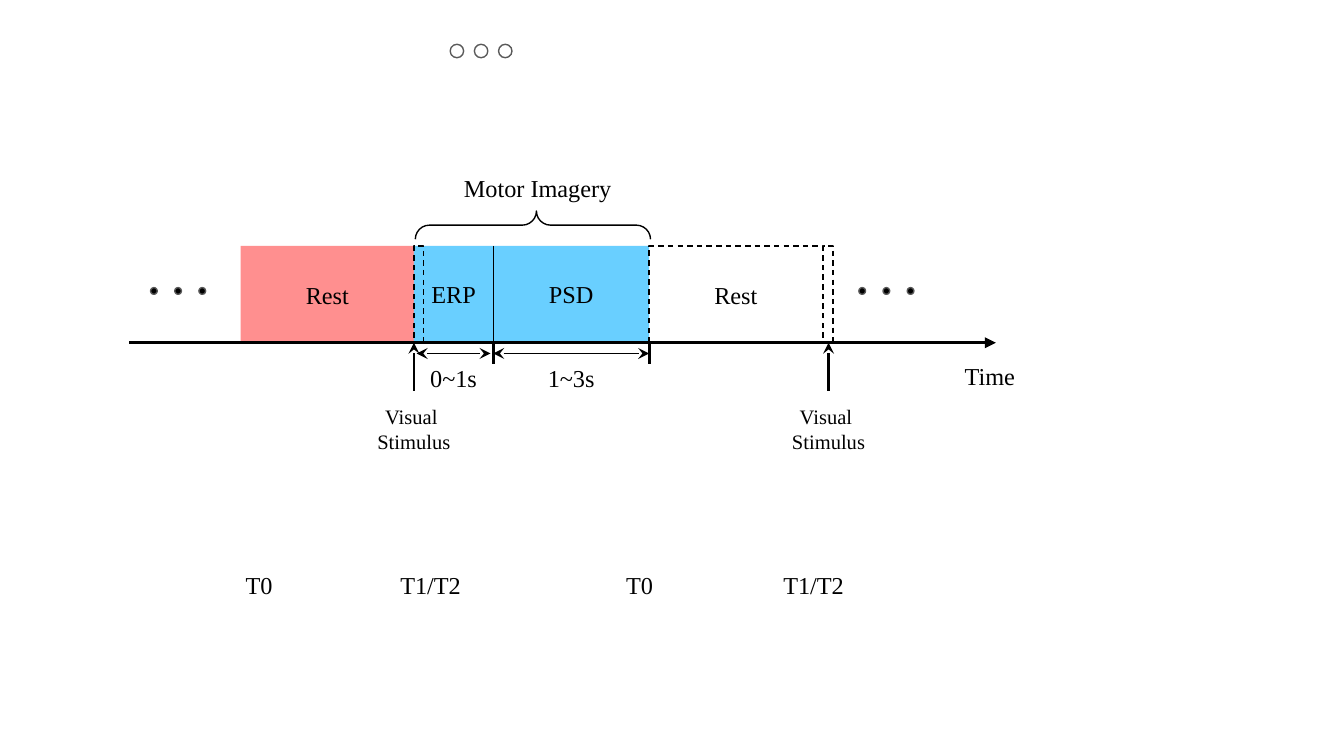
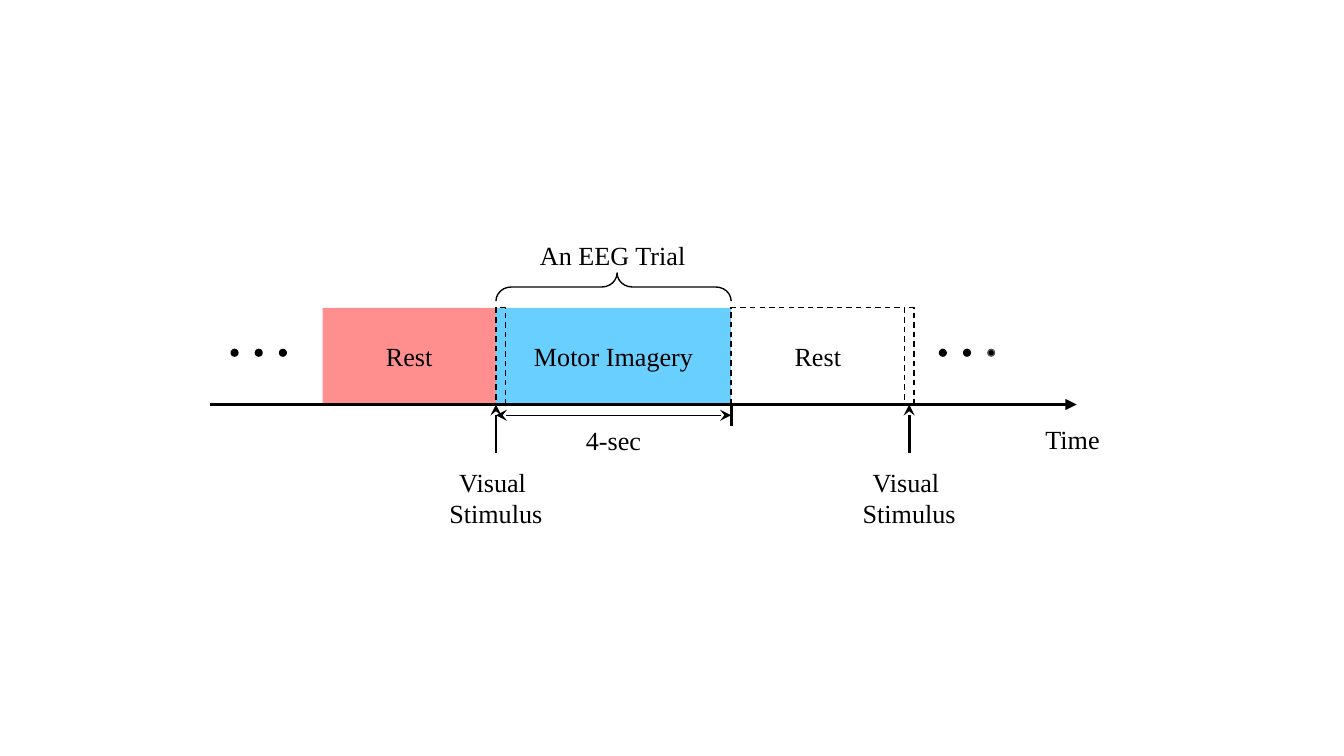
"""Build two timeline slides of a motor imagery EEG trial."""
from lxml import etree
from pptx import Presentation
from pptx.dml.color import RGBColor
from pptx.enum.dml import MSO_LINE
from pptx.enum.shapes import MSO_CONNECTOR, MSO_SHAPE
from pptx.enum.text import MSO_ANCHOR, MSO_AUTO_SIZE, PP_ALIGN
from pptx.oxml.ns import qn
from pptx.util import Inches, Pt

RECT, OVAL, BRACE = MSO_SHAPE.RECTANGLE, MSO_SHAPE.OVAL, MSO_SHAPE.RIGHT_BRACE
STRAIGHT, DASH = MSO_CONNECTOR.STRAIGHT, MSO_LINE.DASH
LEFT, CENTER = PP_ALIGN.LEFT, PP_ALIGN.CENTER
TOP, MIDDLE = MSO_ANCHOR.TOP, MSO_ANCHOR.MIDDLE
GROW = MSO_AUTO_SIZE.SHAPE_TO_FIT_TEXT


class Theme:
    font = "Times New Roman"
    ink = RGBColor(0x00, 0x00, 0x00)
    grey = RGBColor(0x59, 0x59, 0x59)
    white = RGBColor(0xFF, 0xFF, 0xFF)
    rest = RGBColor(0xFF, 0x8F, 0x8F)
    imagery = RGBColor(0x69, 0xCF, 0xFF)
    small, medium, large = 11, 13, 14
    thin, thick = 0.75, 1.5


def add_box(s, kind, x, y, w, h, text="", size=Theme.medium, align=CENTER,
            fill=None, line=None, dash=None):
    frame = Inches(x), Inches(y), Inches(w), Inches(h)
    if kind is None:
        sp = s.shapes.add_textbox(*frame)
    else:
        sp = s.shapes.add_shape(kind, *frame)
        sp.shadow.inherit = False
        if fill is None:
            sp.fill.background()
        else:
            sp.fill.solid()
            sp.fill.fore_color.rgb = fill
        if line is None:
            sp.line.fill.background()
        else:
            sp.line.color.rgb = line
            sp.line.width = Pt(Theme.thin)
            sp.line.dash_style = dash
    if text:
        tf = sp.text_frame
        tf.word_wrap = True
        tf.margin_left = tf.margin_right = tf.margin_top = tf.margin_bottom = Inches(0.1)
        tf.vertical_anchor = TOP if kind is None else MIDDLE
        if kind is None:
            tf.auto_size = GROW
        for i, words in enumerate(text.split("\n")):
            p = tf.add_paragraph() if i else tf.paragraphs[0]
            p.alignment = align
            r = p.add_run()
            r.text = words
            r.font.name = Theme.font
            r.font.size = Pt(size)
            r.font.color.rgb = Theme.ink
    return sp


def add_line(s, x1, y1, x2, y2, width, head=None, tail=None):
    cx = s.shapes.add_connector(STRAIGHT, Inches(x1), Inches(y1), Inches(x2), Inches(y2))
    cx.line.color.rgb = Theme.ink
    cx.line.width = Pt(width)
    ln = cx.line._get_or_add_ln()
    for tag, arrow in (("a:headEnd", head), ("a:tailEnd", tail)):
        if arrow:
            etree.SubElement(ln, qn(tag)).set("type", arrow)
    etree.SubElement(cx._element.spPr, qn("a:effectLst"))
    return cx


timelines = [
    dict(dx=0, dy=0, size=Theme.medium, label_size=Theme.small, text_h=0.42, label_h=0.57,
         block="", title="Motor Imagery", title_x=4.0, title_y=1.19, title_w=1.8, bend=0.5,
         spans=[(3.1, 3.65, "0~1s", "ERP"), (3.67, 4.83, "1~3s", "PSD")],
         ticks=[3.67, 4.83], dots=[Theme.grey] * 6),
    dict(dx=0.6, dy=0.46, size=Theme.large, label_size=Theme.large, text_h=0.44, label_h=0.67,
         block="Motor Imagery", title="An EEG Trial", title_x=3.96, title_y=1.22, title_w=1.5,
         bend=0.54, spans=[(3.09, 4.84, "4-sec", "")],
         ticks=[4.84], dots=[Theme.ink] * 5 + [Theme.grey]),
]

prs = Presentation()
prs.slide_width = Inches(10)
prs.slide_height = prs.slide_width * 9 // 16

for t in timelines:
    s = prs.slides.add_slide(prs.slide_layouts[6])
    dx, dy, size, text_h = t["dx"], t["dy"], t["size"], t["text_h"]
    top, axis, block_h = 1.83 + dy, 2.55 + dy, 0.72
    onset, offset = t["ticks"][-1] - 1.75 + dx, t["ticks"][-1] + dx

    add_box(s, RECT, onset - 1.29, top, 1.29, block_h, "Rest", size, fill=Theme.rest)
    add_box(s, RECT, onset, top, 1.75, block_h, t["block"], size, fill=Theme.imagery)
    add_box(s, RECT, offset, top, 1.29, block_h, "Rest", size, line=Theme.ink, dash=DASH)
    strips = [add_box(s, RECT, x, top, 0.07, block_h, line=Theme.ink, dash=DASH)
              for x in (onset, 6.13 + dx)]
    add_line(s, 0.96 + dx, axis, 7.41 + dx, axis, Theme.thick, tail="triangle")
    add_box(s, None, 7.08 + dx, 2.59 + dy, 0.76, text_h, "Time", size, LEFT)

    brace = add_box(s, BRACE, 3.86 + dx, 0.8 + dy, 0.21, 1.75, line=Theme.ink)
    brace.rotation = 270
    brace.adjustments[0], brace.adjustments[1] = t["bend"], 0.515
    add_box(s, None, t["title_x"] + dx - t["title_w"] / 2, t["title_y"] + dy, t["title_w"], text_h,
            t["title"], size)

    for x in t["ticks"]:
        add_line(s, x + dx, axis, x + dx, axis + 0.16, Theme.thick)
    for x in t["ticks"][:-1]:
        add_line(s, x + dx, top, x + dx, axis, Theme.thin)
    for start, end, duration, phase in t["spans"]:
        mid = (start + end) / 2 + dx
        add_line(s, start + dx, axis + 0.08, end + dx, axis + 0.08, Theme.thin, "stealth", "stealth")
        add_box(s, None, mid - 0.38, 2.6 + dy, 0.76, text_h, duration, size)
        if phase:
            add_box(s, None, mid - 0.53, 1.98 + dy, 1.06, text_h, phase, size)

    for x in (onset, 6.165 + dx):
        label = add_box(s, None, x - 0.695, 2.91 + dy, 1.39, t["label_h"],
                        "Visual \nStimulus", t["label_size"])
        stimulus = add_line(s, x, axis, x, 2.91 + dy, Theme.thick, head="stealth")
        stimulus.end_connect(label, 0)
        if x > offset:
            stimulus.begin_connect(strips[1], 2)

    for i, color in enumerate(t["dots"]):
        x = (1.12, 6.39)[i // 3] + 0.18 * (i % 3) + dx
        add_box(s, OVAL, x, 2.14 + dy, 0.05, 0.05, fill=Theme.ink, line=color)

s = prs.slides[0]
for i in range(3):
    add_box(s, OVAL, 3.35 + 0.18 * i, 0.33, 0.1, 0.1, fill=Theme.white, line=Theme.grey)
for x, w, event in ((1.73, 0.44, "T0"), (2.88, 0.71, "T1/T2"),
                    (4.56, 0.44, "T0"), (5.73, 0.71, "T1/T2")):
    add_box(s, None, x, 4.14, w, 0.42, event, align=LEFT)

prs.save("out.pptx")
